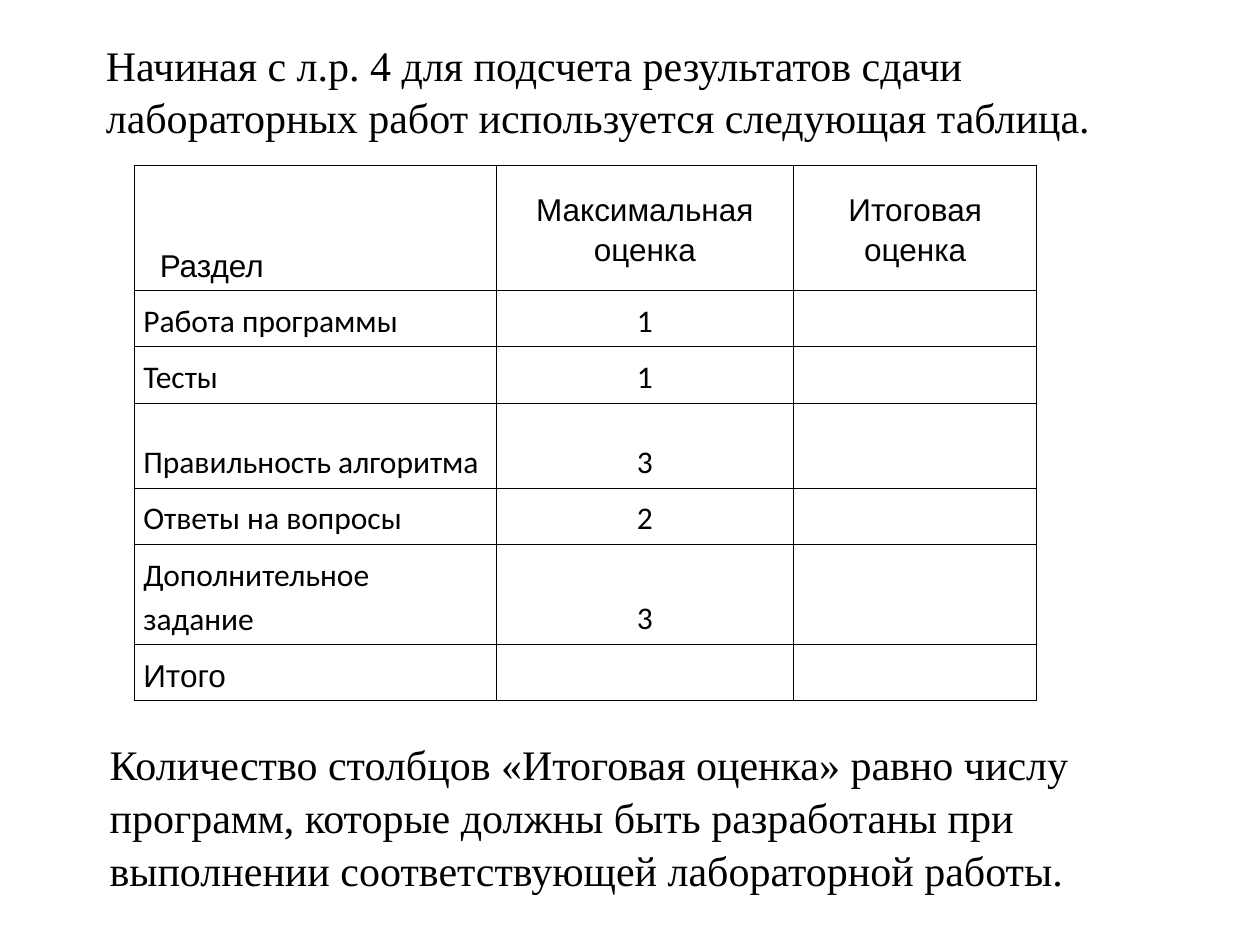
from lxml import etree
from pptx import Presentation
from pptx.dml.color import RGBColor
from pptx.enum.text import MSO_ANCHOR, PP_ALIGN
from pptx.oxml.ns import qn
from pptx.util import Pt

TOP, MIDDLE, BOTTOM = MSO_ANCHOR.TOP, MSO_ANCHOR.MIDDLE, MSO_ANCHOR.BOTTOM
LEFT, CENTER = PP_ALIGN.LEFT, PP_ALIGN.CENTER
COLORS = {"text": "000000", "border": "000000"}
BORDER_WIDTH = Pt(0.45)


def format_paragraph(paragraph, font_name, size, line_spacing):
    paragraph.line_spacing = line_spacing
    paragraph.font.name = font_name
    paragraph.font.size = Pt(size)
    paragraph.font.color.rgb = RGBColor.from_string(COLORS["text"])
    for run in paragraph.runs:
        run.font.name = font_name
        run.font.size = Pt(size)
        run.font.color.rgb = RGBColor.from_string(COLORS["text"])


def add_borders(cell):
    """Outline all four sides; the lines must precede the cell's fill."""
    properties = cell._tc.get_or_add_tcPr()
    for position, side in enumerate(("a:lnL", "a:lnR", "a:lnT", "a:lnB")):
        line = etree.Element(qn(side), w=str(BORDER_WIDTH))
        fill = etree.SubElement(line, qn("a:solidFill"))
        etree.SubElement(fill, qn("a:srgbClr"), val=COLORS["border"])
        properties.insert(position, line)


presentation = Presentation()
presentation.slide_width = Pt(720)
presentation.slide_height = Pt(540)
slide = presentation.slides.add_slide(presentation.slide_layouts[6])

# Introduction above the table and note below it
notes = [
    (31.7, 15.1, 95.8,
     "Начиная с л.р. 4 для подсчета результатов сдачи лабораторных работ "
     "используется следующая таблица."),
    (33.8, 414.7, 124.6,
     "Количество столбцов «Итоговая оценка» равно числу программ, которые "
     "должны быть разработаны при выполнении соответствующей лабораторной "
     "работы."),
]
for left, top, height, text in notes:
    text_box = slide.shapes.add_textbox(Pt(left), Pt(top), Pt(646.6), Pt(height))
    text_frame = text_box.text_frame
    text_frame.word_wrap = True
    text_frame.vertical_anchor = TOP
    text_frame.margin_left, text_frame.margin_right = Pt(28.8), Pt(7.2)
    text_frame.margin_top, text_frame.margin_bottom = Pt(5.8), Pt(2.9)
    text_frame.text = text
    format_paragraph(text_frame.paragraphs[0], "Times New Roman", 24, 1.05)

# Grading table
rows = [
    ("Раздел", "Максимальная оценка", "Итоговая оценка"),
    ("Работа программы", "1", ""),
    ("Тесты", "1", ""),
    ("Правильность алгоритма", "3", ""),
    ("Ответы на вопросы", "2", ""),
    ("Дополнительное задание", "3", ""),
    ("Итого", "", ""),
]
row_heights = [71.3, 32.4, 32.4, 48.2, 32.4, 49.7, 32.4]
column_widths = [207, 170, 139]
last_row = len(rows) - 1

table = slide.shapes.add_table(
    len(rows), len(column_widths), Pt(76.5), Pt(94.5),
    Pt(sum(column_widths)), Pt(sum(row_heights))).table
table.first_row = False
table.horz_banding = False
for column, width in zip(table.columns, column_widths):
    column.width = Pt(width)

for row_index, texts in enumerate(rows):
    table.rows[row_index].height = Pt(row_heights[row_index])
    for column_index, text in enumerate(texts):
        cell = table.cell(row_index, column_index)
        is_header = row_index == 0
        cell.fill.background()
        add_borders(cell)
        cell.margin_left = Pt(14.8 if is_header and column_index == 0 else 5.4)
        cell.margin_right = Pt(5.4)
        cell.margin_top = cell.margin_bottom = Pt(3.6)
        cell.vertical_anchor = MIDDLE if is_header and column_index else BOTTOM
        cell.text_frame.text = text
        paragraph = cell.text_frame.paragraphs[0]
        paragraph.alignment = CENTER if column_index else LEFT
        paragraph.space_after = Pt(10)
        font_name = "Arial" if row_index in (0, last_row) else "Calibri"
        format_paragraph(paragraph, font_name, 18, 1.15)

presentation.save("out.pptx")
